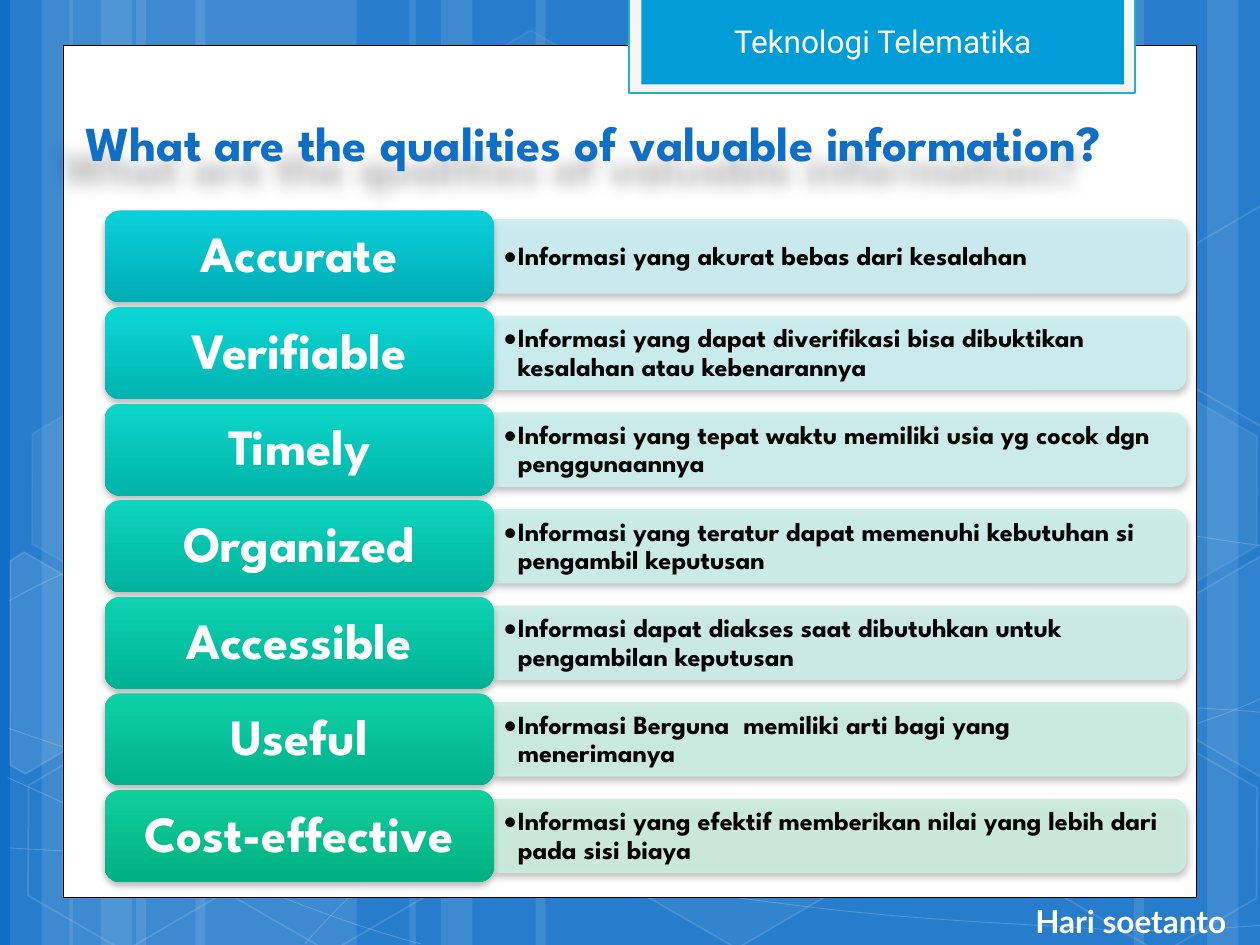
from math import cos, pi, sin

from lxml import etree
from pptx import Presentation
from pptx.dml.color import RGBColor
from pptx.enum.shapes import MSO_SHAPE
from pptx.enum.text import MSO_ANCHOR, PP_ALIGN
from pptx.oxml.ns import qn
from pptx.util import Inches, Pt

RECT, ROUND = MSO_SHAPE.RECTANGLE, MSO_SHAPE.ROUNDED_RECTANGLE
CAP, HEX = MSO_SHAPE.ROUND_2_SAME_RECTANGLE, MSO_SHAPE.HEXAGON
MIDDLE, BOTTOM = MSO_ANCHOR.MIDDLE, MSO_ANCHOR.BOTTOM
LEFT, CENTER, RIGHT = PP_ALIGN.LEFT, PP_ALIGN.CENTER, PP_ALIGN.RIGHT
SPARTAN = "League Spartan"

STRIPS = [(1.08, 1.75), (0.08, 0.5), (0.33, 0.83), (1.55, 1.75), (0.55, 0.5),
          (0.8, 0.83), (7.33, 1.75), (9.58, 0.5), (9, 0.83), (4.25, 3.08),
          (3.25, 0.5), (3.5, 0.83)]
CURVES = [
    [(0.07, 6.73), (0.61, 6.76), (1.15, 6.79), (1.9, 6.78), (2.65, 6.77),
     (3.58, 6.75), (4.58, 6.65), (5.58, 6.55), (7, 6.36), (7.92, 6.17),
     (8.83, 5.98), (9.77, 5.68), (10.07, 5.51)],
    [(0.07, 4.77), (0.36, 4.61), (0.65, 4.46), (1.21, 4.31), (1.78, 4.16),
     (2.59, 3.94), (3.47, 3.87), (4.36, 3.8), (5.44, 3.79), (6.54, 3.87),
     (7.64, 3.95), (9.47, 4.26), (10.07, 4.34)],
    [(0.06, 6.17), (1.27, 6.72), (2.47, 7.27), (3.34, 7.49)],
    [(0.07, 5.78), (0.38, 5.89), (0.7, 6), (1.28, 6.16), (1.86, 6.31),
     (2.73, 6.56), (3.57, 6.73), (4.4, 6.9), (5.45, 7.08), (6.28, 7.18),
     (7.11, 7.29), (8, 7.33), (8.53, 7.36), (9.05, 7.4), (9.19, 7.38),
     (9.45, 7.38), (9.71, 7.37), (9.89, 7.35), (10.07, 7.34)],
    [(2.42, 7.49), (2.6, 7.29), (2.78, 7.09), (3.02, 6.91), (3.26, 6.73),
     (3.6, 6.53), (3.88, 6.39), (4.16, 6.25), (4.33, 6.19), (4.7, 6.09),
     (5.06, 5.99), (5.73, 5.85), (6.08, 5.78), (6.44, 5.71), (6.49, 5.71),
     (6.8, 5.69), (7.11, 5.66), (7.6, 5.63), (7.94, 5.62), (8.29, 5.61),
     (8.86, 5.62), (8.86, 5.62), (8.86, 5.62), (9.53, 5.62), (9.53, 5.62),
     (9.71, 5.63), (9.88, 5.64), (9.97, 5.65), (10.06, 5.66), (10.03, 5.65),
     (10.06, 5.66)],
]
HEXES = [(3.34, 0.36, 4, 8), (4.97, 5.89, 6, 12), (0.11, 5.91, 0, 12),
         (0.14, 3.12, 7, 8), (1.74, 5.92, 0, 12), (7.53, 4.53, 10, 12),
         (8.34, 5.93, 0, 12), (8.34, 3.14, 7, 8)]
CUTS = [
    (10, (0.36, 5.35), [(0.08, 4.45), (0.19, 4.38), (0.96, 4.82), (0.95, 5.7),
                        (0.2, 6.14), (0.08, 6.07)]),
    (4, (9.85, 5.2), [(9.26, 4.85), (10.01, 4.41), (10.09, 4.46), (10.09, 6.13),
                      (10.02, 6.17), (9.26, 5.73)]),
    (0, (9.85, 2.41), [(9.26, 2.07), (10.01, 1.63), (10.1, 1.68), (10.09, 3.35),
                       (10.02, 3.39), (9.26, 2.95)]),
]
ROWS = [
    ("Accurate", "Informasi yang akurat bebas dari kesalahan",
     "0BD0D9", "00ADB5", "CCEEF1"),
    ("Verifiable", "Informasi yang dapat diverifikasi bisa dibuktikan kesalahan atau kebenarannya",
     "0CD7D5", "00B4B3", "CCF0F0"),
    ("Timely", "Informasi yang tepat waktu memiliki usia yg cocok dgn penggunaannya",
     "0DD6C9", "00B4A9", "CCF0EC"),
    ("Organized", "Informasi yang teratur dapat memenuhi kebutuhan si pengambil keputusan",
     "0ED4BD", "00B39F", "CCEFE9"),
    ("Accessible", "Informasi dapat diakses saat dibutuhkan untuk pengambilan keputusan",
     "0ED2B2", "00B295", "CCEEE5"),
    ("Useful", "Informasi Berguna  memiliki arti bagi yang menerimanya",
     "0FD1A6", "00B28B", "CCEEE2"),
    ("Cost-effective", "Informasi yang efektif memberikan nilai yang lebih dari pada sisi biaya",
     "10CF9B", "00B181", "CCEDDE"),
]


def tint(fill, code, alpha=100):
    fill.solid()
    fill.fore_color.rgb = RGBColor.from_string(code)
    if alpha < 100:
        color = fill._xPr.find(qn("a:solidFill"))[0]
        etree.SubElement(color, qn("a:alpha"), val=str(alpha * 1000))


def paint(shape, fill=None, alpha=100, line=None, width=1, clear=100):
    shape.shadow.inherit = False
    if fill and alpha:
        tint(shape.fill, fill, alpha)
    else:
        shape.fill.background()
    if line:
        shape.line.width = Pt(width)
        tint(shape.line.fill, line, clear)
    else:
        shape.line.fill.background()
    return shape


def add(slide, kind, box):
    return slide.shapes.add_shape(kind, *map(Inches, box))


def shade(shape, blur, dist, angle, alpha):
    shape.shadow.inherit = False
    glow = etree.SubElement(
        shape._element.spPr.find(qn("a:effectLst")), qn("a:outerShdw"),
        blurRad=str(Pt(blur)), dist=str(Pt(dist)), dir=str(angle * 60000),
        algn="ctr", rotWithShape="0")
    color = etree.SubElement(glow, qn("a:srgbClr"), val="000000")
    etree.SubElement(color, qn("a:alpha"), val=str(alpha * 1000))


def write(shape, runs, font, code, bold=True, align=LEFT, anchor=MIDDLE,
          pad=(0.1, 0.05), space=None, dot=False):
    frame = shape.text_frame
    frame.word_wrap = True
    frame.vertical_anchor = anchor
    frame.margin_left = frame.margin_right = Inches(pad[0])
    frame.margin_top = frame.margin_bottom = Inches(pad[1])
    para = frame.paragraphs[0]
    if dot:
        para.level = 1
        props = para._p.get_or_add_pPr()
        props.set("marL", str(Inches(0.12)))
        props.set("indent", str(Inches(-0.12)))
        etree.SubElement(props, qn("a:buFont"), typeface="Lato")
        etree.SubElement(props, qn("a:buChar"), char="•")
    para.alignment = align
    if space:
        para.line_spacing = space
    for text, size in runs:
        run = para.add_run()
        run.text = text
        run.font.name = font
        run.font.size = Pt(size)
        run.font.bold = bold
        tint(run.font.fill, code)


def label(slide, box, runs, font, code, **style):
    shape = slide.shapes.add_textbox(*map(Inches, box))
    write(shape, runs, font, code, **style)
    return shape


def trace(slide, x, y, points, close):
    dots = [(Inches(x + a), Inches(y + b)) for a, b in points]
    pen = slide.shapes.build_freeform(*dots[0])
    pen.add_line_segments(dots[1:], close=close)
    return pen.convert_to_shape()


def bend(shape):
    steps = list(shape._element.iter(qn("a:lnTo")))
    for i in range(0, len(steps), 3):
        arc = etree.Element(qn("a:cubicBezTo"))
        steps[i].addprevious(arc)
        for step in steps[i:i + 3]:
            arc.append(step[0])
            step.getparent().remove(step)
    return shape


def turn(points, pivot, angle):
    c, s = cos(angle * pi / 180), sin(angle * pi / 180)
    px, py = pivot
    return [(px + (a - px) * c - (b - py) * s, py + (a - px) * s + (b - py) * c)
            for a, b in points]


def backdrop(slide, box):
    x, y, _, high = box
    tint(slide.background.fill, "0F6FC6")
    for left, wide in STRIPS:
        paint(add(slide, RECT, (x + left, y, wide, high)), "FFFFFF", 10)
    for curve in CURVES:
        paint(bend(trace(slide, x, y, curve, False)), line="FFFFFF", width=0.5, clear=20)
    for left, top, alpha, clear in HEXES:
        cell = add(slide, HEX, (x + left, y + top, 1.75, 1.52))
        cell.adjustments[0] = 0.285
        cell.rotation = 30
        paint(cell, "FFFFFF", alpha, "FFFFFF", 1, clear)
    for alpha, pivot, points in CUTS:
        cell = trace(slide, x, y, turn(points, pivot, -30), True)
        cell.rotation = 30
        paint(cell, "FFFFFF", alpha, "FFFFFF", 1, 12)


def banner(slide, box):
    x, y, wide, high = box
    paint(add(slide, RECT, box), "F5F5F5", line="21B2C9", width=1.25)
    plate = paint(add(slide, RECT, (x + 0.1, y, wide - 0.19, high - 0.07)), "009DD9")
    write(plate, [("Teknologi Telematika", 18)], "Roboto", "FFFFFF", bold=False, align=CENTER)


def title(slide, box):
    runs = [("What are the qualities of valuable information", 27.9), ("?", 28.8)]
    shade(label(slide, box, runs, SPARTAN, "0F6FC6", anchor=BOTTOM), 10, 18, 135, 28)


def row(slide, box, data):
    name, text, top, base, pale = data
    x, y, wide, high = box
    key, slim = 3.09, 0.58
    span = wide - key
    mid = y + high / 2
    panel = add(slide, CAP, (x + key + (span - slim) / 2, mid - span / 2, slim, span))
    panel.rotation = 90
    paint(panel, pale, 90, pale, 0.75, 90)
    shade(panel, 4, 2, 90, 28)
    label(slide, (x + key + 0.01, mid - 0.26, span - 0.06, 0.53), [(text, 15)], SPARTAN,
          "000000", pad=(0.06, 0.03), space=0.9, dot=True)
    tab = paint(add(slide, ROUND, (x, y, key, high)))
    tab.fill.gradient()
    tab.fill.gradient_angle = 270
    for stop, code in zip(tab.fill.gradient_stops, (top, base)):
        stop.color.rgb = RGBColor.from_string(code)
    shade(tab, 4, 2, 90, 28)
    write(tab, [(name, 29)], SPARTAN, "FFFFFF", align=CENTER, pad=(0.16, 0.1), space=0.9)


def table(slide, box):
    x, y, wide, high = box
    tall = 0.73
    pitch = (high - tall) / (len(ROWS) - 1)
    for i, data in enumerate(ROWS):
        row(slide, (x, y + i * pitch, wide, tall), data)


def main():
    deck = Presentation()
    deck.slide_width, deck.slide_height = Inches(10), Inches(7.5)
    slide = deck.slides.add_slide(deck.slide_layouts[6])
    backdrop(slide, (0, 0, 10, 7.5))
    paint(add(slide, RECT, (0.5, 0.36, 9, 6.76)), "FFFFFF", line="000000", width=0.5)
    banner(slide, (4.99, -0.02, 4.02, 0.76))
    title(slide, (0.58, 0.58, 9.17, 0.83))
    table(slide, (0.83, 1.67, 8.58, 5.33))
    label(slide, (6, 7.11, 3.83, 0.4), [("Hari soetanto", 18)], "Lato", "FFFFFF", align=RIGHT)
    deck.save("out.pptx")


if __name__ == "__main__":
    main()
